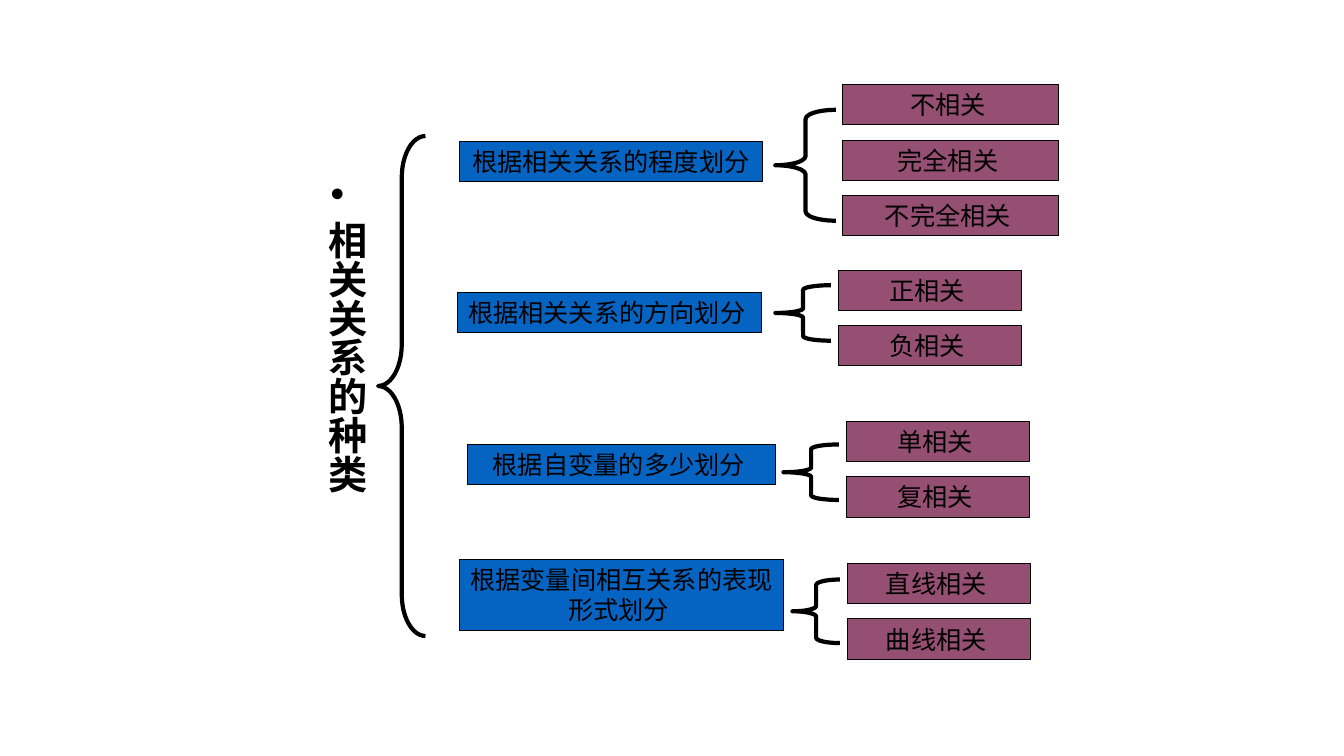
from lxml.etree import SubElement
from pptx import Presentation
from pptx.dml.color import RGBColor
from pptx.enum.shapes import MSO_SHAPE
from pptx.enum.text import MSO_ANCHOR, MSO_AUTO_SIZE, PP_ALIGN
from pptx.oxml.ns import qn
from pptx.util import Inches, Pt

BLACK = RGBColor(0x00, 0x00, 0x00)
BLUE = RGBColor(0x05, 0x63, 0xC1)
PLUM = RGBColor(0x95, 0x4F, 0x72)
ROW_HEIGHT = 0.4
ROW_PITCH = 0.55

BRANCHES = [
    ("根据相关关系的程度划分 ", (4.56, 1.4, 3, 0.4), (7.69, 1.09, 0.6, 1.1), 0.152,
     (8.36, 0.84, 2.14), ["不相关 ", "完全相关 ", "不完全相关 "]),
    ("根据相关关系的方向划分 ", (4.54, 2.9, 3.01, 0.4), (7.69, 2.83, 0.55, 0.55), 0.083,
     (8.32, 2.68, 1.81), ["正相关 ", "负相关 "]),
    ("根据自变量的多少划分 ", (4.64, 4.41, 3.05, 0.4), (7.77, 4.41, 0.55, 0.55), 0.083,
     (8.4, 4.18, 1.81), ["单相关 ", "复相关 "]),
    ("根据变量间相互关系的表现形式划分 ", (4.56, 5.55, 3.21, 0.71), (7.86, 5.75, 0.47, 0.63), 0.111,
     (8.41, 5.59, 1.81), ["直线相关 ", "曲线相关 "]),
]


class TreeSlide:
    """Draws the parts of a brace tree on one slide in a shared style."""

    def __init__(self, slide, font_name="Calibri", color=BLACK):
        self.slide = slide
        self.font_name = font_name
        self.color = color

    def add_run(self, paragraph, text, size, bold=False):
        run = paragraph.add_run()
        run.text = text
        run.font.name = self.font_name
        run.font.size = Pt(size)
        run.font.bold = bold
        run.font.color.rgb = self.color

    def add_outlined(self, kind, bounds, line_width):
        shape = self.slide.shapes.add_shape(kind, *map(Inches, bounds))
        shape.shadow.inherit = False
        shape.line.color.rgb = self.color
        shape.line.width = Pt(line_width)
        return shape

    def add_label(self, text, bounds, fill):
        shape = self.add_outlined(MSO_SHAPE.RECTANGLE, bounds, 0.75)
        shape.fill.solid()
        shape.fill.fore_color.rgb = fill
        frame = shape.text_frame
        frame.word_wrap = True
        frame.auto_size = MSO_AUTO_SIZE.SHAPE_TO_FIT_TEXT
        frame.vertical_anchor = MSO_ANCHOR.TOP
        paragraph = frame.paragraphs[0]
        paragraph.alignment = PP_ALIGN.CENTER
        self.add_run(paragraph, text, 18)

    def add_brace(self, bounds, curve):
        shape = self.add_outlined(MSO_SHAPE.LEFT_BRACE, bounds, 3)
        shape.fill.background()
        shape.adjustments[0] = curve
        shape.adjustments[1] = 0.5

    def add_vertical_title(self, text, bounds):
        frame = self.slide.shapes.add_textbox(*map(Inches, bounds)).text_frame
        frame.word_wrap = True
        frame._txBody.bodyPr.set("vert", "eaVert")
        paragraph = frame.paragraphs[0]
        paragraph.line_spacing = 0.9
        properties = paragraph._p.get_or_add_pPr()
        properties.set("marL", str(Inches(0.25)))
        properties.set("indent", str(Inches(-0.25)))
        SubElement(properties, qn("a:buFont"), typeface="Arial")
        SubElement(properties, qn("a:buChar"), char="•")
        self.add_run(paragraph, text, 28, bold=True)


def main():
    presentation = Presentation()
    presentation.slide_width = Inches(13.33)
    presentation.slide_height = Inches(7.5)
    tree = TreeSlide(presentation.slides.add_slide(presentation.slide_layouts[6]))
    tree.add_vertical_title("相关关系的种类", (2.86, 1.84, 0.81, 3.83))
    tree.add_brace((3.75, 1.35, 0.47, 4.96), 0.875)
    for criterion, criterion_bounds, brace_bounds, curve, (left, top, width), kinds in BRANCHES:
        tree.add_label(criterion, criterion_bounds, BLUE)
        tree.add_brace(brace_bounds, curve)
        for row, kind in enumerate(kinds):
            tree.add_label(kind, (left, top + row * ROW_PITCH, width, ROW_HEIGHT), PLUM)
    presentation.save("out.pptx")


if __name__ == "__main__":
    main()
